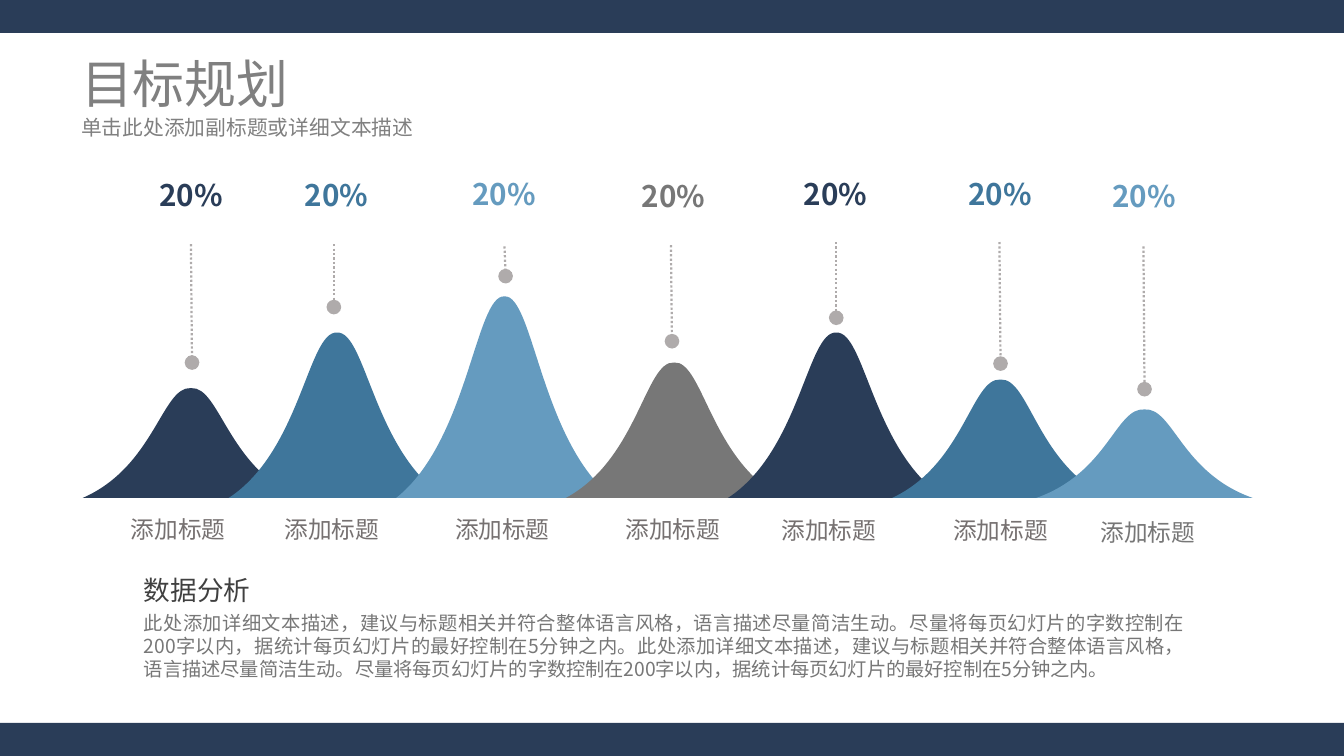
from dataclasses import dataclass

import lxml.etree
import pptx
import pptx.dml.color
import pptx.enum.dml
import pptx.enum.shapes
import pptx.enum.text
import pptx.oxml.ns
import pptx.shapes.autoshape
import pptx.shapes.shapetree
import pptx.util

Inches = pptx.util.Inches
Align = pptx.enum.text.PP_ALIGN
Anchor = pptx.enum.text.MSO_ANCHOR
qualified = pptx.oxml.ns.qn

FONT = "Noto Sans CJK SC"
COLORS = {
    "navy": "2A3D58",
    "teal": "3F769B",
    "sky": "659BBF",
    "gray": "777777",
    "label": "767171",
    "pin": "AFABAB",
    "heading": "404040",
    "title": "808080",
}
BASELINE = 4.67
HALF_WIDTH = 1.015
UNITS_PER_INCH = 10000


@dataclass(frozen=True)
class Peak:
    color: str
    center: float
    top: float
    label_left: float
    label_top: float
    percent_left: float
    percent_width: float
    percent_top: float
    pin_left: float
    pin_top: float
    pin_bottom: float
    pin_lean: float = 0.01
    label_color: str = "label"


@dataclass(frozen=True)
class Line:
    text: str
    size: float
    color: str
    bold: bool = False
    space_before: float = 0


PEAKS = [
    Peak("navy", 1.79, 3.62, 0.89, 4.78, 1.25, 1.08, 1.61, 1.79, 2.29, 3.4),
    Peak("teal", 3.16, 3.1, 2.33, 4.78, 2.59, 1.13, 1.61, 3.13, 2.29, 2.88, pin_lean=0),
    Peak("sky", 4.73, 2.76, 3.93, 4.78, 4.26, 0.93, 1.6, 4.73, 2.31, 2.59),
    Peak("gray", 6.32, 3.38, 5.53, 4.78, 5.91, 0.81, 1.62, 6.29, 2.3, 3.2),
    Peak("navy", 7.84, 3.1, 6.99, 4.79, 7.43, 0.81, 1.6, 7.84, 2.27, 2.98, pin_lean=0),
    Peak("teal", 9.38, 3.54, 8.6, 4.79, 8.88, 0.99, 1.6, 9.37, 2.27, 3.41),
    Peak("sky", 10.73, 3.82, 9.98, 4.81, 10.25, 0.95, 1.62, 10.72, 2.31, 3.65,
         label_color="gray"),
]
DESCRIPTION = (
    "此处添加详细文本描述，建议与标题相关并符合整体语言风格，语言描述尽量简洁生动。"
    "尽量将每页幻灯片的字数控制在200字以内，据统计每页幻灯片的最好控制在5分钟之内。"
)


def rgb(name: str) -> pptx.dml.color.RGBColor:
    return pptx.dml.color.RGBColor.from_string(COLORS[name])


def add_text(
    shapes,
    lines: list[Line],
    left: float,
    top: float,
    width: float,
    height: float,
    *,
    align: Align = Align.LEFT,
    anchor: Anchor = Anchor.TOP,
    margins: tuple[float, float] = (0.1, 0.05),
    grow: bool = False,
) -> None:
    box = shapes.add_textbox(Inches(left), Inches(top), Inches(width), Inches(height))
    frame = box.text_frame
    frame.word_wrap = True
    frame.vertical_anchor = anchor
    frame.margin_left = frame.margin_right = Inches(margins[0])
    frame.margin_top = frame.margin_bottom = Inches(margins[1])
    if grow:
        frame.auto_size = pptx.enum.text.MSO_AUTO_SIZE.SHAPE_TO_FIT_TEXT
    for index, line in enumerate(lines):
        paragraph = frame.add_paragraph() if index else frame.paragraphs[0]
        paragraph.alignment = align
        paragraph.space_before = pptx.util.Pt(line.space_before)
        run = paragraph.add_run()
        run.text = line.text
        run.font.size = pptx.util.Pt(line.size)
        run.font.bold = line.bold
        run.font.color.rgb = rgb(line.color)
        run.font.name = FONT
        east_asian = lxml.etree.SubElement(run.font._element, qualified("a:ea"))
        east_asian.set("typeface", FONT)


def paint(shape: pptx.shapes.autoshape.Shape, color: str) -> None:
    shape.shadow.inherit = False
    shape.fill.solid()
    shape.fill.fore_color.rgb = rgb(color)
    shape.line.fill.background()


def bell_points(center: float, top: float) -> list[tuple[int, int]]:
    shoulder = BASELINE - 0.28 * (BASELINE - top)
    base = (center, BASELINE)
    right = (center + HALF_WIDTH, BASELINE)
    points = [base] * 4 + [right] * 3 + [
        (center + 0.34, shoulder),
        (center + 0.27, top),
        (center, top + 0.02),
        (center - 0.27, top),
        (center - 0.34, shoulder),
        (center - HALF_WIDTH, BASELINE),
    ]
    return [(round(x * UNITS_PER_INCH), round(y * UNITS_PER_INCH)) for x, y in points]


def curve_segments(shape: pptx.shapes.autoshape.Shape) -> None:
    segments = list(shape._element.iter(qualified("a:lnTo")))
    for start in range(0, 12, 3):
        curve = lxml.etree.Element(qualified("a:cubicBezTo"))
        segments[start].addprevious(curve)
        for segment in segments[start:start + 3]:
            curve.append(segment[0])
            segment.getparent().remove(segment)


def add_bell(shapes, peak: Peak) -> None:
    points = bell_points(peak.center, peak.top)
    builder = shapes.build_freeform(*points[0], scale=Inches(1) / UNITS_PER_INCH)
    builder.add_line_segments(points[1:] + points[:1], close=True)
    bell = builder.convert_to_shape()
    curve_segments(bell)
    paint(bell, peak.color)


def add_pin(shapes, peak: Peak) -> None:
    connector = shapes.add_connector(
        pptx.enum.shapes.MSO_CONNECTOR.STRAIGHT,
        Inches(peak.pin_left),
        Inches(peak.pin_top),
        Inches(peak.pin_left + peak.pin_lean),
        Inches(peak.pin_bottom),
    )
    connector.line.color.rgb = rgb("pin")
    connector.line.width = pptx.util.Pt(1.5)
    connector.line.dash_style = pptx.enum.dml.MSO_LINE.ROUND_DOT
    properties = connector._element.spPr
    outline = properties.find(qualified("a:ln"))
    dot = lxml.etree.SubElement(outline, qualified("a:tailEnd"))
    for name, value in (("type", "oval"), ("w", "lg"), ("len", "lg")):
        dot.set(name, value)
    lxml.etree.SubElement(properties, qualified("a:effectLst"))


def add_peak(slide_shapes: pptx.shapes.shapetree.SlideShapes, peak: Peak) -> None:
    shapes = slide_shapes.add_group_shape().shapes
    add_bell(shapes, peak)
    add_text(shapes, [Line("添加标题", 16, peak.label_color)], peak.label_left,
             peak.label_top, 1.56, 0.37, align=Align.CENTER, grow=True)
    add_text(shapes, [Line("20%", 20, peak.color, bold=True)], peak.percent_left,
             peak.percent_top, peak.percent_width, 0.44, align=Align.CENTER, grow=True)
    add_pin(shapes, peak)


def main() -> None:
    presentation = pptx.Presentation()
    presentation.slide_width = Inches(12.6)
    presentation.slide_height = Inches(7.09)
    shapes = presentation.slides.add_slide(presentation.slide_layouts[6]).shapes
    for peak in PEAKS:
        add_peak(shapes, peak)
    analysis = [
        Line("数据分析", 18, "heading", space_before=1.4),
        Line(DESCRIPTION * 2, 13, "gray", space_before=3.6),
    ]
    add_text(shapes, analysis, 1.25, 5.33, 9.95, 1.23, align=Align.JUSTIFY)
    add_text(shapes, [Line("目标规划", 35, "title")], 0.63, 0.52, 11.34, 0.51,
             anchor=Anchor.MIDDLE, margins=(0.13, 0.06))
    subtitle = Line("单击此处添加副标题或详细文本描述", 14, "title", space_before=3.2)
    add_text(shapes, [subtitle], 0.63, 1.02, 11.34, 0.42, margins=(0.13, 0.06))
    for top in (0, 6.78):
        bar = shapes.add_shape(pptx.enum.shapes.MSO_SHAPE.RECTANGLE, Inches(-0.17),
                               Inches(top), Inches(12.84), Inches(0.31))
        paint(bar, "navy")
    presentation.save("out.pptx")


if __name__ == "__main__":
    main()
